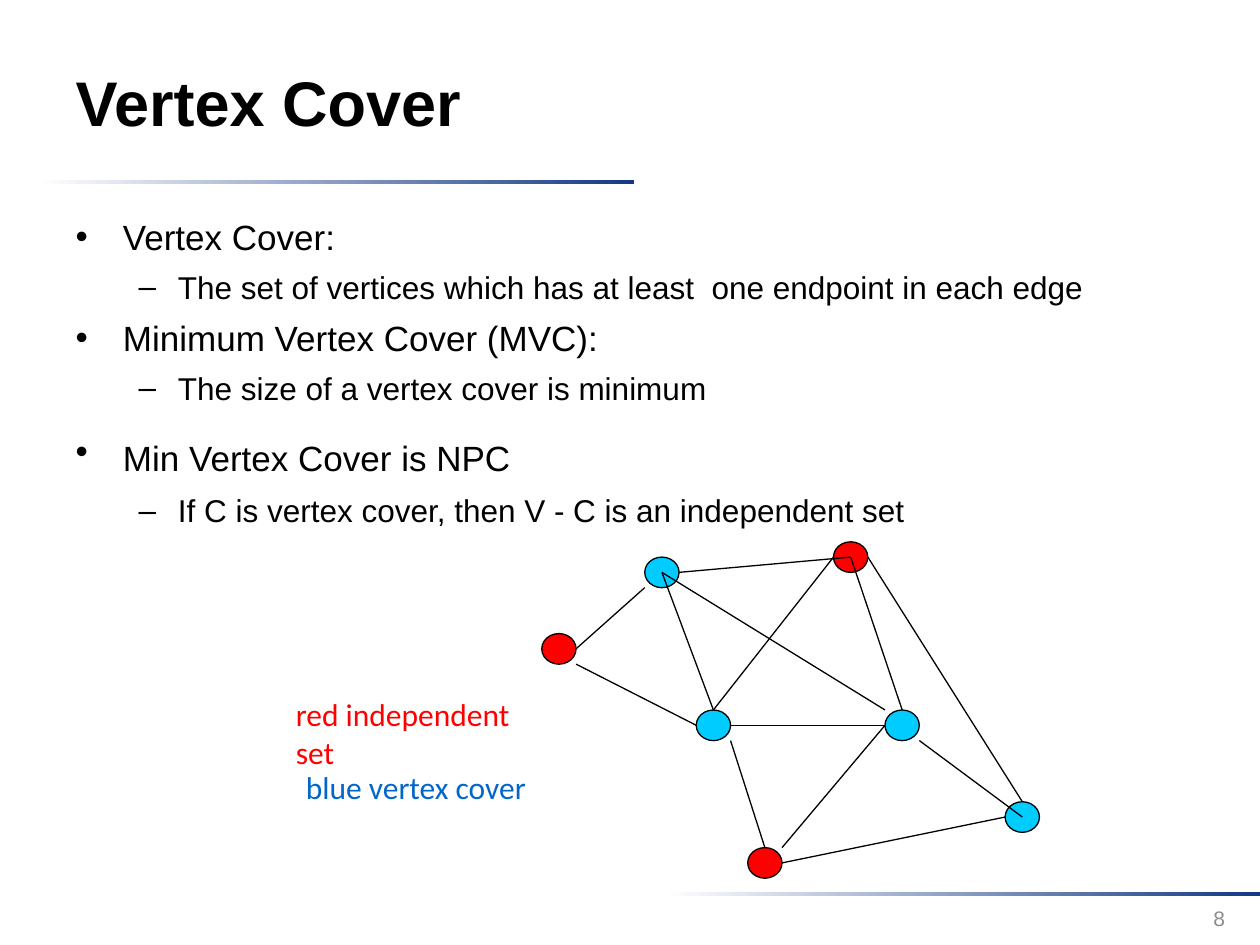
from lxml.etree import SubElement
from pptx import Presentation
from pptx.dml.color import RGBColor
from pptx.enum.shapes import MSO_CONNECTOR as Connector, MSO_SHAPE as Preset
from pptx.enum.text import MSO_ANCHOR as Anchor, MSO_AUTO_SIZE as AutoSize, PP_ALIGN as Align
from pptx.oxml.ns import qn
from pptx.util import Inches, Pt

WIDTH, HEIGHT = 10, 7.5
BLACK, RED, CYAN, NAVY, WHITE = "000000", "FF0000", "00CCFF", "133984", "FFFFFF"

TITLE = "Vertex Cover"
TITLE_BOX = (0.5, 0.18, 7.73, 1.25)
BODY_BOX = (0.5, 1.63, 8.83, 2.75)
POINTS = [
    (0, ["Vertex Cover:"]),
    (1, ["The set of vertices which has at least  one endpoint in each edge"]),
    (0, ["Minimum Vertex Cover (MVC):"]),
    (1, ["The size of a vertex cover is minimum"]),
    (0, ["Min Vertex Cover is NPC", " "]),
    (1, ["If C is vertex cover, then V - C is an independent set"]),
]
LEVEL_SIZES = (20, 18)
SPACER_SIZE = 28

RULE_WIDTH, RULE_HEIGHT = 4.72, 0.03
RULES = [(0.31, 1.43), (WIDTH - RULE_WIDTH, 7.08)]

LABELS = [
    ("red independent set", (2.25, 5.47, 2.15, 0.4), 18, "Calibri", RED, Align.LEFT, Anchor.TOP),
    ("blue vertex cover", (2.33, 6.05, 2, 0.4), 18, "Calibri", "0066CC", Align.LEFT, Anchor.TOP),
    ("8", (7.49, 7.09, 2.33, 0.4), 12, "Arial", "8C8C8C", Align.RIGHT, Anchor.MIDDLE),
]

GRAPH_LEFT, GRAPH_TOP, GRAPH_WIDTH, GRAPH_HEIGHT = 4.3, 4.3, 3.95, 2.67
COLUMNS, ROWS = 29, 22
VERTICES = {
    "left": (1, 7, RED),
    "top": (18, 1, RED),
    "bottom": (13, 21, RED),
    "upper": (7, 2, CYAN),
    "right": (28, 18, CYAN),
    "inner": (10, 12, CYAN),
    "middle": (21, 12, CYAN),
}
EDGES = [
    ("upper", (0, 0), "middle", (-1, -1)),
    ("left", (1, 0), "upper", (-1, 1)),
    ("left", (1, 1), "inner", (-1, 0)),
    ("bottom", (1, -1), "middle", (-1, 0)),
    ("upper", (1, 0), "top", (0, 0)),
    ("inner", (0, -1), "upper", (0, 0)),
    ("inner", (1, 1), "bottom", (0, -1)),
    ("middle", (0, -1), "top", (0, 0)),
    ("top", (-1, 0), "inner", (0, -1)),
    ("middle", (1, 1), "right", (0, 0)),
    ("bottom", (1, 0), "right", (-1, 0)),
    ("top", (1, 0), "right", (0, -1)),
    ("inner", (1, 0), "middle", (-1, 0)),
]


def color(value):
    return RGBColor.from_string(value)


def inches(lengths):
    return [Inches(length) for length in lengths]


def grid_point(column, row):
    return inches((GRAPH_LEFT + column * GRAPH_WIDTH / COLUMNS,
                   GRAPH_TOP + row * GRAPH_HEIGHT / ROWS))


def anchor_point(vertex, offset):
    column, row, _ = VERTICES[vertex]
    return grid_point(column + offset[0], row + offset[1])


def set_font(run, size, name, value, bold=False):
    run.font.size = Pt(size)
    run.font.name = name
    run.font.color.rgb = color(value)
    run.font.bold = bold


def place(shape, box):
    shape.left, shape.top, shape.width, shape.height = inches(box)


def add_rule(slide, left, top):
    shape = slide.shapes.add_shape(
        Preset.RECTANGLE, *inches((left, top, RULE_WIDTH, RULE_HEIGHT)))
    shape.shadow.inherit = False
    shape.line.fill.background()
    shape.fill.gradient()
    shape.fill.gradient_angle = 0
    for stop, position, value in zip(shape.fill.gradient_stops, (0, 1), (WHITE, NAVY)):
        stop.position = position
        stop.color.rgb = color(value)


def fill_title(shape):
    place(shape, TITLE_BOX)
    shape.text_frame.text = TITLE
    paragraph = shape.text_frame.paragraphs[0]
    paragraph.alignment = Align.LEFT
    set_font(paragraph.runs[0], 36, "Arial", BLACK, bold=True)


def fill_body(shape):
    place(shape, BODY_BOX)
    frame = shape.text_frame
    frame.auto_size = AutoSize.NONE
    frame.text = "\n".join(texts[0] for _, texts in POINTS)
    for paragraph, (level, texts) in zip(frame.paragraphs, POINTS):
        paragraph.level = level
        paragraph.line_spacing = 1.1
        set_font(paragraph.runs[0], LEVEL_SIZES[level], "Arial", BLACK)
        for text in texts[1:]:
            run = paragraph.add_run()
            run.text = text
            set_font(run, SPACER_SIZE, "Arial", BLACK)


def add_label(slide, text, box, size, font, value, alignment, anchor):
    frame = slide.shapes.add_textbox(*inches(box)).text_frame
    frame.word_wrap = True
    frame.vertical_anchor = anchor
    frame.text = text
    paragraph = frame.paragraphs[0]
    paragraph.alignment = alignment
    set_font(paragraph.runs[0], size, font, value)


def add_vertex(slide, column, row, value):
    left, top = grid_point(column - 1, row - 1)
    right, bottom = grid_point(column + 1, row + 1)
    shape = slide.shapes.add_shape(Preset.OVAL, left, top, right - left, bottom - top)
    shape.shadow.inherit = False
    shape.fill.solid()
    shape.fill.fore_color.rgb = color(value)
    shape.line.color.rgb = color(BLACK)
    shape.line.width = Pt(0.75)


def add_edge(slide, start, start_offset, end, end_offset):
    connector = slide.shapes.add_connector(
        Connector.STRAIGHT, *anchor_point(start, start_offset), *anchor_point(end, end_offset))
    connector.line.color.rgb = color(BLACK)
    connector.line.width = Pt(0.75)
    SubElement(connector._element.spPr, qn("a:effectLst"))


def main():
    presentation = Presentation()
    presentation.slide_width, presentation.slide_height = inches((WIDTH, HEIGHT))
    slide = presentation.slides.add_slide(presentation.slide_layouts[1])
    fill_title(slide.shapes.title)
    fill_body(slide.placeholders[1])
    for rule in RULES:
        add_rule(slide, *rule)
    for vertex in VERTICES.values():
        add_vertex(slide, *vertex)
    for edge in EDGES:
        add_edge(slide, *edge)
    for label in LABELS:
        add_label(slide, *label)
    presentation.save("out.pptx")


if __name__ == "__main__":
    main()
